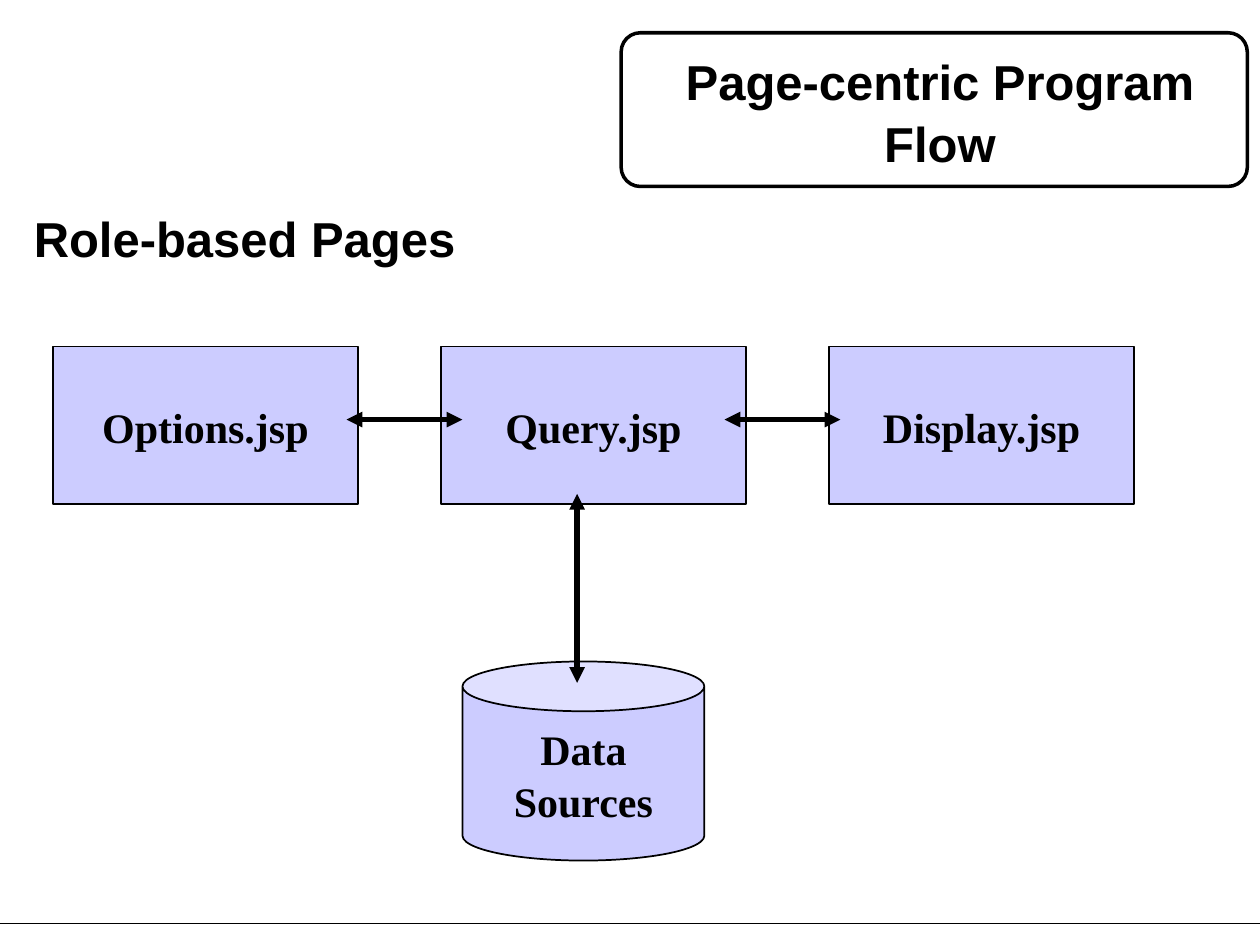
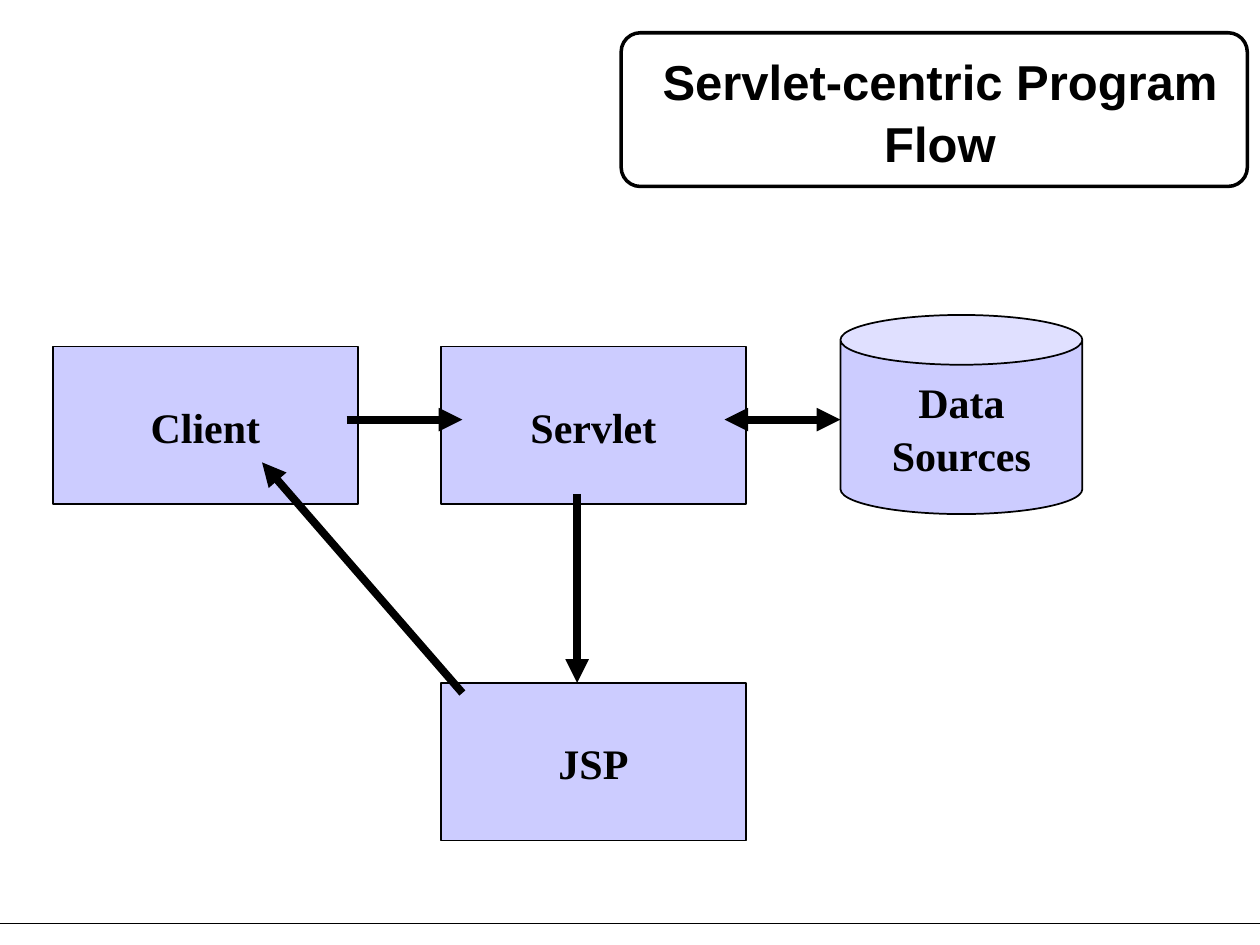
from dataclasses import dataclass

from lxml import etree
from pptx import Presentation
from pptx.dml.color import RGBColor
from pptx.enum.shapes import MSO_CONNECTOR as Connector, MSO_SHAPE as Shape
from pptx.enum.text import MSO_ANCHOR as Anchor, MSO_AUTO_SIZE as AutoSize, PP_ALIGN as Align
from pptx.oxml.ns import qn
from pptx.util import Inches, Pt


@dataclass(frozen=True)
class Theme:
    ink = RGBColor(0x00, 0x00, 0x00)
    box_fill = RGBColor(0xCC, 0xCC, 0xFF)
    heading = {"name": "Arial", "size": Pt(28), "bold": True}
    label = {"name": "Times New Roman", "size": Pt(24), "bold": True}
    thin, frame = 1, 2
    line_spacing = 1.05


# Content: boxes are (label, column, row), stores are (left, top),
# arrows are (start, end, points both ways)
TO_MIDDLE = ((2.75, 3.33), (3.67, 3.33))
TO_RIGHT = ((5.75, 3.33), (6.67, 3.33))
DOWN = ((4.58, 3.92), (4.58, 5.42))
STORE_LABEL = ["Data", "Sources"]

SLIDES = [
    {
        "title": "Page-centric Program Flow",
        "bullet": "Role-based Pages",
        "boxes": [("Options.jsp", 0, 0), ("Query.jsp", 1, 0), ("Display.jsp", 2, 0)],
        "store": (3.67, 5.25),
        "arrow_width": 3,
        "arrows": [(*TO_MIDDLE, True), (*DOWN, True), (*TO_RIGHT, True)],
    },
    {
        "title": "Servlet-centric Program Flow",
        "bullet": None,
        "boxes": [("Client", 0, 0), ("Servlet", 1, 0), ("JSP", 1, 1)],
        "store": (6.67, 2.5),
        "arrow_width": 4.5,
        "arrows": [
            (*TO_MIDDLE, False),
            (*DOWN, False),
            (*TO_RIGHT, True),
            ((3.67, 5.5), (2.08, 3.67), False),
        ],
    },
]

# Grid of boxes
GRID_LEFT, GRID_TOP = 0.42, 2.75
COLUMN_STEP, ROW_STEP = 3.08, 2.67
BOX_SIZE = (2.42, 1.25)
STORE_SIZE = (1.92, 1.58)


def write_text(frame, lines, font, align=Align.CENTER, anchor=Anchor.MIDDLE, wrap=True):
    settings = {"word_wrap": wrap, "auto_size": AutoSize.NONE, "vertical_anchor": anchor}
    for name, value in settings.items():
        setattr(frame, name, value)
    frame.text = "\n".join(lines)
    for paragraph in frame.paragraphs:
        paragraph.alignment = align
        paragraph.line_spacing = Theme.line_spacing
        for name, value in font.items():
            setattr(paragraph.font, name, value)
        paragraph.font.color.rgb = Theme.ink


def set_line(shape, width):
    shape.line.color.rgb = Theme.ink
    shape.line.width = Pt(width)


def add_outlined(slide, kind, position, size, fill=None):
    shape = slide.shapes.add_shape(kind, *map(Inches, (*position, *size)))
    shape.shadow.inherit = False
    set_line(shape, Theme.thin)
    if fill is None:
        shape.fill.background()
    else:
        shape.fill.solid()
        shape.fill.fore_color.rgb = fill
    return shape


def add_node(slide, kind, position, size, lines):
    node = add_outlined(slide, kind, position, size, Theme.box_fill)
    write_text(node.text_frame, lines, Theme.label, wrap=False)


def add_line(slide, start, end, width, ends=()):
    line = slide.shapes.add_connector(Connector.STRAIGHT, *map(Inches, (*start, *end)))
    set_line(line, width)
    for end_name in ends:
        etree.SubElement(line.line._get_or_add_ln(), qn(f"a:{end_name}"), type="triangle")
    etree.SubElement(line._element.spPr, qn("a:effectLst"))


def add_title(slide, text):
    # Footer rule and rounded frame shared by all slides
    add_line(slide, (0, 7.33), (10, 7.33), Theme.thin)
    frame = add_outlined(slide, Shape.ROUNDED_RECTANGLE, (4.93, 0.26), (4.97, 1.22))
    frame.adjustments[0] = 0.125
    set_line(frame, Theme.frame)

    title = slide.shapes.title
    place = {"left": 4.92, "top": 0.25, "width": 5.08, "height": 1.25}
    for name, value in place.items():
        setattr(title, name, Inches(value))
    write_text(title.text_frame, [text], Theme.heading)


def add_bullet(slide, text):
    box = slide.shapes.add_textbox(*map(Inches, (0.17, 1.58, 9.83, 1)))
    paragraph = box.text_frame.paragraphs[0]
    properties = paragraph._p.get_or_add_pPr()
    properties.set("marL", str(Inches(0.48)))
    properties.set("indent", str(-Inches(0.48)))
    etree.SubElement(properties, qn("a:buFont"), typeface="Arial")
    etree.SubElement(properties, qn("a:buChar"), char="•")
    write_text(box.text_frame, [text], Theme.heading, Align.LEFT, Anchor.TOP)


def build_slide(presentation, content):
    slide = presentation.slides.add_slide(presentation.slide_layouts[5])
    add_title(slide, content["title"])
    if content["bullet"]:
        add_bullet(slide, content["bullet"])

    # Pages and data store
    for label, column, row in content["boxes"]:
        position = (GRID_LEFT + column * COLUMN_STEP, GRID_TOP + row * ROW_STEP)
        add_node(slide, Shape.RECTANGLE, position, BOX_SIZE, [label])
    add_node(slide, Shape.CAN, content["store"], STORE_SIZE, STORE_LABEL)

    # Flow arrows
    for start, end, both_ways in content["arrows"]:
        ends = ("headEnd", "tailEnd") if both_ways else ("tailEnd",)
        add_line(slide, start, end, content["arrow_width"], ends)


def main():
    presentation = Presentation()
    presentation.slide_width = Inches(10)
    presentation.slide_height = Inches(7.5)
    for content in SLIDES:
        build_slide(presentation, content)
    presentation.save("out.pptx")


if __name__ == "__main__":
    main()
